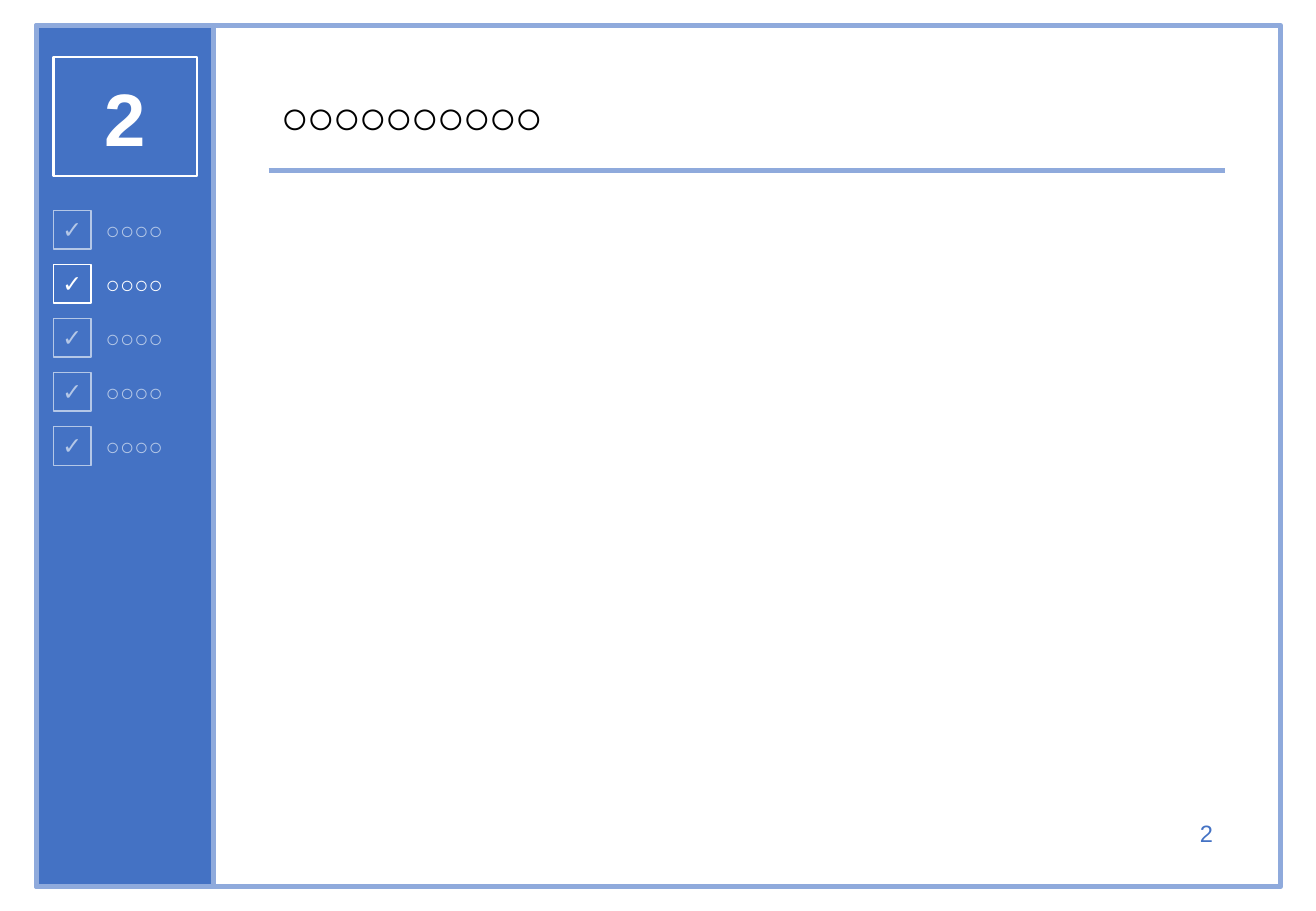
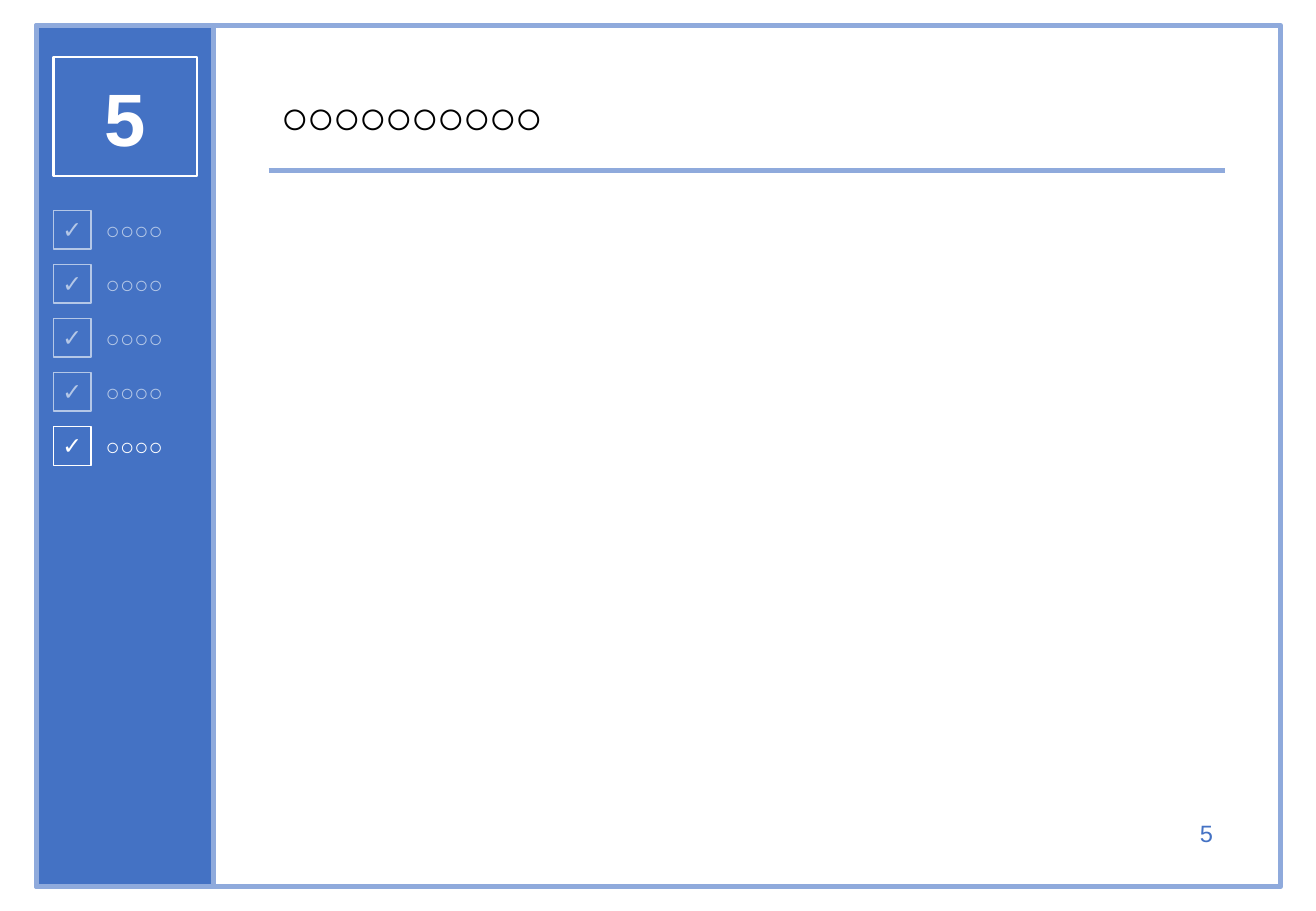
import dataclasses

import lxml.etree
import pptx
import pptx.dml.color
import pptx.enum.shapes
import pptx.enum.text
import pptx.oxml.ns
import pptx.util

Inches = pptx.util.Inches
Align = pptx.enum.text.PP_ALIGN
Anchor = pptx.enum.text.MSO_ANCHOR
AutoSize = pptx.enum.text.MSO_AUTO_SIZE
qn = pptx.oxml.ns.qn


@dataclasses.dataclass(frozen=True)
class Theme:
    """Colours, type sizes and line widths shared by all slides."""
    font: str = "Arial"
    sidebar: str = "4472C4"
    border: str = "8FAADC"
    muted: str = "B4C7E7"
    active: str = "FFFFFF"
    heading: str = "000000"
    chapter_size: int = 44
    heading_size: int = 28
    small_size: int = 14
    heavy: float = 3
    medium: float = 1.5
    thin: float = 0.75
    tracking: float = -1.5


@dataclasses.dataclass(frozen=True)
class Box:
    """A region in inches."""
    left: float
    top: float
    width: float
    height: float

    def inner(self, left, top, width, height):
        """Return a box offset from this one's top left corner."""
        return Box(self.left + left, self.top + top, width, height)

    def lengths(self):
        """Return the box as left, top, width and height lengths."""
        return [Inches(value) for value in dataclasses.astuple(self)]


THEME = Theme()
TIGHT = 0.04
FRAME = Box(0.3, 0.21, 10.24, 7.09)
SIDEBAR = Box(0.3, 0.21, 1.46, 7.09)
CONTENT = Box(2.21, 0.67, 7.87, 6.36)
HEADING = "○○○○○○○○○○"
AGENDA = ["○○○○"] * 5
AGENDA_PITCH = 0.445
SLIDES = [
    {"chapter": 2, "bold_entries": (1, 2)},
    {"chapter": 5, "bold_entries": (5,)},
]


def rgb(colour):
    """Turn a hex string into a colour."""
    return pptx.dml.color.RGBColor.from_string(colour)


def set_all(target, formats):
    """Set each attribute in formats on target."""
    for attribute, value in formats.items():
        setattr(target, attribute, value)


def write(shape, text, size, colour, bold=False, align=Align.LEFT,
          anchor=Anchor.TOP, inset=None, tracking=None,
          auto_size=AutoSize.SHAPE_TO_FIT_TEXT):
    """Put one formatted line of text into a shape."""
    frame = shape.text_frame
    frame.text = text
    set_all(frame, {"word_wrap": True, "auto_size": auto_size,
                    "vertical_anchor": anchor})
    if inset is not None:
        sides = ("left", "top", "right", "bottom")
        set_all(frame, {f"margin_{side}": Inches(inset) for side in sides})
    frame.paragraphs[0].alignment = align
    run = frame.paragraphs[0].runs[0]
    set_all(run.font, {"name": THEME.font, "size": pptx.util.Pt(size), "bold": bold})
    run.font.color.rgb = rgb(colour)
    properties = run.font._element
    lxml.etree.SubElement(properties, qn("a:ea"), typeface=THEME.font)
    if tracking is not None:
        properties.set("spc", str(int(tracking * 100)))


def add_panel(slide, box, line, width, fill=None):
    """Add an outlined rectangle, filled if a fill is given."""
    panel = slide.shapes.add_shape(
        pptx.enum.shapes.MSO_SHAPE.RECTANGLE, *box.lengths())
    panel.shadow.inherit = False
    if fill:
        panel.fill.solid()
        panel.fill.fore_color.rgb = rgb(fill)
    else:
        panel.fill.background()
    panel.line.color.rgb = rgb(line)
    panel.line.width = pptx.util.Pt(width)
    return panel


def add_agenda_entry(slide, box, label, current, bold):
    """Add a tick box and its label."""
    colour = THEME.active if current else THEME.muted
    tick = add_panel(slide, box.inner(0, 0, 0.31, box.height), colour, THEME.thin)
    write(tick, "✓", THEME.small_size, colour, bold=True,
          align=Align.CENTER, inset=TIGHT)
    caption = slide.shapes.add_textbox(
        *box.inner(0.39, 0, box.width - 0.39, box.height).lengths())
    write(caption, label, THEME.small_size, colour, bold=bold,
          anchor=Anchor.MIDDLE, inset=TIGHT)


def add_sidebar(slide, box, chapter, bold_entries):
    """Add the side band with the chapter number and the agenda."""
    add_panel(slide, box, THEME.border, THEME.heavy, THEME.sidebar)
    badge = add_panel(slide, box.inner(0.14, 0.26, 1.18, 0.98),
                      THEME.active, THEME.medium, THEME.sidebar)
    write(badge, str(chapter), THEME.chapter_size, THEME.active, bold=True,
          align=Align.CENTER, anchor=Anchor.MIDDLE, inset=TIGHT,
          auto_size=AutoSize.NONE)
    for number, label in enumerate(AGENDA, start=1):
        top = 1.52 + (number - 1) * AGENDA_PITCH
        add_agenda_entry(slide, box.inner(0.14, top, 1.3, 0.32), label,
                         number == chapter, number in bold_entries)


def add_content(slide, box, heading, page):
    """Add the heading, the rule below it and the page number."""
    title = slide.shapes.title
    places = ("left", "top", "width", "height")
    set_all(title, dict(zip(places, box.inner(0, 0, 5.23, 0.57).lengths())))
    write(title, heading, THEME.heading_size, THEME.heading, bold=True,
          tracking=THEME.tracking)

    left, top, width, _ = box.inner(0, 0.73, box.width, 0).lengths()
    rule = slide.shapes.add_connector(
        pptx.enum.shapes.MSO_CONNECTOR.STRAIGHT, left, top, left + width, top)
    rule.line.color.rgb = rgb(THEME.border)
    rule.line.width = pptx.util.Pt(THEME.heavy)
    lxml.etree.SubElement(rule._element.spPr, qn("a:effectLst"))

    folio = slide.shapes.add_textbox(
        *box.inner(box.width - 0.45, box.height - 0.34, 0.45, 0.34).lengths())
    write(folio, str(page), THEME.small_size, THEME.sidebar,
          align=Align.RIGHT, tracking=THEME.tracking)


def add_chapter_slide(deck, chapter, bold_entries):
    """Add one chapter slide."""
    slide = deck.slides.add_slide(deck.slide_layouts.get_by_name("Title Only"))
    add_panel(slide, FRAME, THEME.border, THEME.heavy)
    add_sidebar(slide, SIDEBAR, chapter, bold_entries)
    add_content(slide, CONTENT, HEADING, chapter)


def main():
    """Build and save the deck."""
    deck = pptx.Presentation()
    set_all(deck, {"slide_width": Inches(10.83), "slide_height": Inches(7.5)})
    for chapter_slide in SLIDES:
        add_chapter_slide(deck, **chapter_slide)
    deck.save("out.pptx")


if __name__ == "__main__":
    main()
